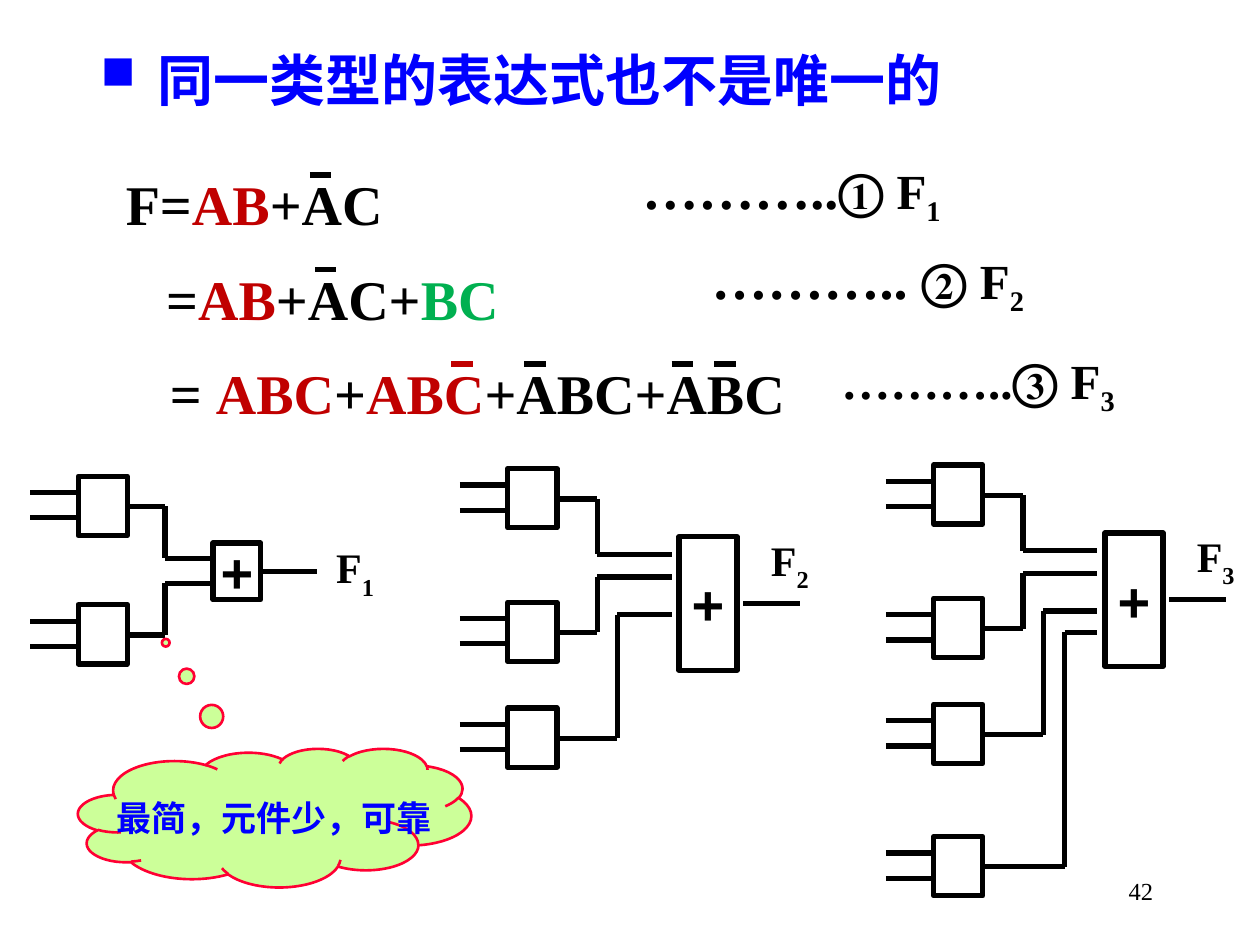
"""Draw one slide of equal logic expressions and their gate circuits."""
from itertools import pairwise
from lxml.etree import SubElement
from pptx import Presentation
from pptx.dml.color import RGBColor
from pptx.enum.shapes import MSO_CONNECTOR as Link, MSO_SHAPE as Kind
from pptx.enum.text import MSO_ANCHOR as Anchor, PP_ALIGN as Align
from pptx.oxml.ns import qn
from pptx.util import Inches, Pt

WIDE, HIGH = Inches(10), Inches(7.5)
COL, ROW = WIDE / 10, HIGH / 7.5
BLACK = RGBColor(0, 0, 0)
BLUE = RGBColor(0, 0, 255)
RED = RGBColor(192, 0, 0)
GREEN = RGBColor(0, 176, 80)
LIME = RGBColor(204, 255, 153)
ROSE = RGBColor(255, 0, 51)
SERIF, SANS = "Times New Roman", "Arial"


def area(col, row, cols, rows):
    """Turn grid columns and rows into lengths."""
    return [round(n) for n in (col * COL, row * ROW, cols * COL, rows * ROW)]


def style(para, size, color=BLACK, bold=True, face=SERIF):
    """Set the font that all runs of a paragraph share."""
    font = para.font
    font.name, font.bold, font.color.rgb = face, bold, color
    if size:
        font.size = Pt(size)


def text(slide, box, words, size, color=BLACK, bold=True, align=Align.LEFT):
    """Add a text box and return its paragraph; words may be empty."""
    frame = slide.shapes.add_textbox(*area(*box)).text_frame
    frame.word_wrap = True
    para = frame.paragraphs[0]
    para.alignment = align
    if words:
        para.add_run().text = words
    style(para, size, color, bold)
    return para


def title(slide, words):
    """Add the heading with its square bullet."""
    para = text(slide, (0.7, 0.31, 8.6, 0.64), "", 32, BLUE)
    prop = para._p.get_or_add_pPr()
    for item in list(prop):
        prop.remove(item)
    prop.set("marL", str(Inches(0.45)))
    prop.set("indent", str(-Inches(0.45)))
    tint = SubElement(prop, qn("a:buClr"))
    SubElement(tint, qn("a:srgbClr")).set("val", str(BLUE))
    SubElement(prop, qn("a:buSzPct")).set("val", "84000")
    SubElement(prop, qn("a:buChar")).set("char", "■")
    para.add_run().text = words
    style(para, 32, BLUE)


def line(slide, start, end, color=BLACK):
    """Add a straight line between two grid points."""
    ends = area(*start, *end)
    link = slide.shapes.add_connector(Link.STRAIGHT, *ends)
    link.line.color.rgb, link.line.width = color, Pt(3)
    SubElement(link._element.spPr, qn("a:effectLst"))


def wire(slide, *points):
    """Join grid points with lines."""
    for start, end in pairwise(points):
        line(slide, start, end)


def sum_row(slide, box, parts, bars):
    """Add a coloured expression with bars over negated letters."""
    para = text(slide, box, "", 32)
    for words, color in parts:
        run = para.add_run()
        run.text, run.font.color.rgb = words, color
    for col, color in bars:
        row = box[1] + 0.09
        line(slide, (col, row), (col + 0.17, row), color)


def label(slide, box, parts, index, drop):
    """Add sized text that ends in a subscript."""
    para = text(slide, box, "", None)
    for words, size in parts + [(index, parts[-1][1])]:
        run = para.add_run()
        run.text, run.font.size = words, Pt(size)
    run._r.get_or_add_rPr().set("baseline", str(-1000 * drop))


def block(slide, col, row, cols, rows, sign=""):
    """Add a gate outline, with a sign if it has one."""
    box = slide.shapes.add_shape(Kind.RECTANGLE, *area(col, row, cols, rows))
    box.shadow.inherit = False
    box.fill.background()
    box.line.color.rgb, box.line.width = BLACK, Pt(3)
    if sign:
        frame = box.text_frame
        frame.word_wrap, frame.vertical_anchor = False, Anchor.MIDDLE
        para = frame.paragraphs[0]
        para.alignment = Align.CENTER
        para.add_run().text = sign
        style(para, 32, face=SANS)


def net(slide, col, row, index, gates, goal, port, join):
    """Add AND gates wired to an OR gate; joins are relative to col, row."""
    for down, bend, pin in gates:
        top = row + down
        block(slide, col, top, 0.39, 0.47)
        for gap in (0.13, 0.33):
            wire(slide, (col - 0.38, top + gap), (col, top + gap))
        mid, turn, pin = top + 0.24, col + bend, row + pin
        wire(slide, (col + 0.39, mid), (turn, mid), (turn, pin),
             (col + port, pin))
    left, top, cols, rows = goal
    block(slide, col + left, row + top, cols, rows, "+")
    out = row + top + rows / 2
    wire(slide, (col + join, out), (col + join + 0.45, out))
    label(slide, (col + join + 0.12 if join > 1.5 else col + join + 0.5,
                  row + 0.47, 0.58, 0.5), [("F", 24)], index, 30)


def cloud(slide, words):
    """Add the thought cloud and its words."""
    bub = slide.shapes.add_shape(Kind.CLOUD_CALLOUT,
                                 *area(0.62, 5.94, 3.12, 1.1))
    bub.adjustments[0], bub.adjustments[1] = -0.277, -1.263
    bub.shadow.inherit = False
    bub.fill.solid()
    bub.fill.fore_color.rgb = LIME
    bub.line.color.rgb, bub.line.width = ROSE, Pt(1.5)
    text(slide, (0.77, 6.27, 2.81, 0.44), words, 20, BLUE,
         align=Align.CENTER)


def main():
    """Build and save the slide."""
    deck = Presentation()
    deck.slide_width, deck.slide_height = WIDE, HIGH
    slide = deck.slides.add_slide(deck.slide_layouts[6])
    title(slide, "同一类型的表达式也不是唯一的")

    sum_row(slide, (0.9, 1.3, 2.44, 0.63),
            [("F=", BLACK), ("AB", RED), ("+AC", BLACK)], [(2.46, BLACK)])
    sum_row(slide, (1.22, 2.05, 3.28, 0.63),
            [("=", BLACK), ("AB", RED), ("+AC+", BLACK), ("BC", GREEN)],
            [(2.5, BLACK)])
    sum_row(slide, (1.25, 2.8, 5.25, 0.63),
            [("= ", BLACK), ("ABC", RED), ("+", BLACK), ("ABC", RED),
             ("+ABC+ABC", BLACK)],
            [(3.58, RED), (4.16, BLACK), (5.33, BLACK), (5.67, BLACK)])
    label(slide, (5, 1.17, 3.83, 0.63), [("………..", 32), ("① F", 28)], "1", 25)
    label(slide, (5.55, 1.88, 3.83, 0.63),
          [("……….. ", 32), ("② F", 28)], "2", 25)
    label(slide, (6.58, 2.73, 3.33, 0.57), [("………..③ F", 28)], "3", 25)

    net(slide, 0.62, 3.78, "1", [(0, 0.69, 0.65), (1.02, 0.69, 0.85)],
        (1.07, 0.53, 0.38, 0.45), 1.07, 1.45)
    gates = [(0, 0.71, 0.68), (1.06, 0.71, 0.86),
             (1.9, 0.87, 1.16), (2.95, 1.04, 1.33)]
    for col, row, count in ((4.03, 3.72, 3), (7.41, 3.69, 4)):
        net(slide, col, row, str(count - 1 if count == 3 else 3),
            gates[:count], (1.36, 0.54, 0.46, 1.06), 1.3, 1.87)

    cloud(slide, "最简，元件少，可靠")
    text(slide, (7.17, 6.9, 2.08, 0.36), "42", 14, bold=False,
         align=Align.RIGHT)
    deck.save("out.pptx")


if __name__ == "__main__":
    main()
